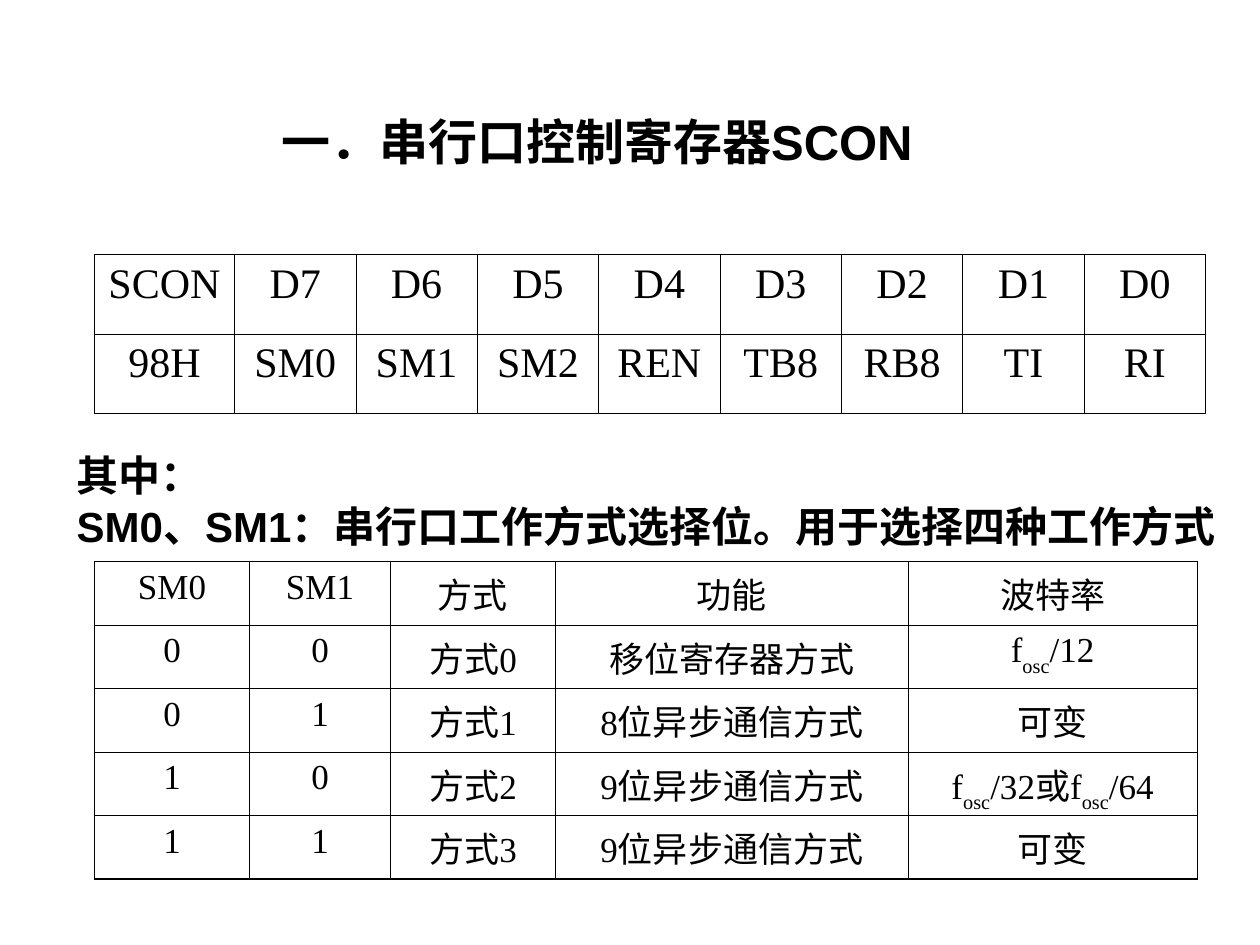
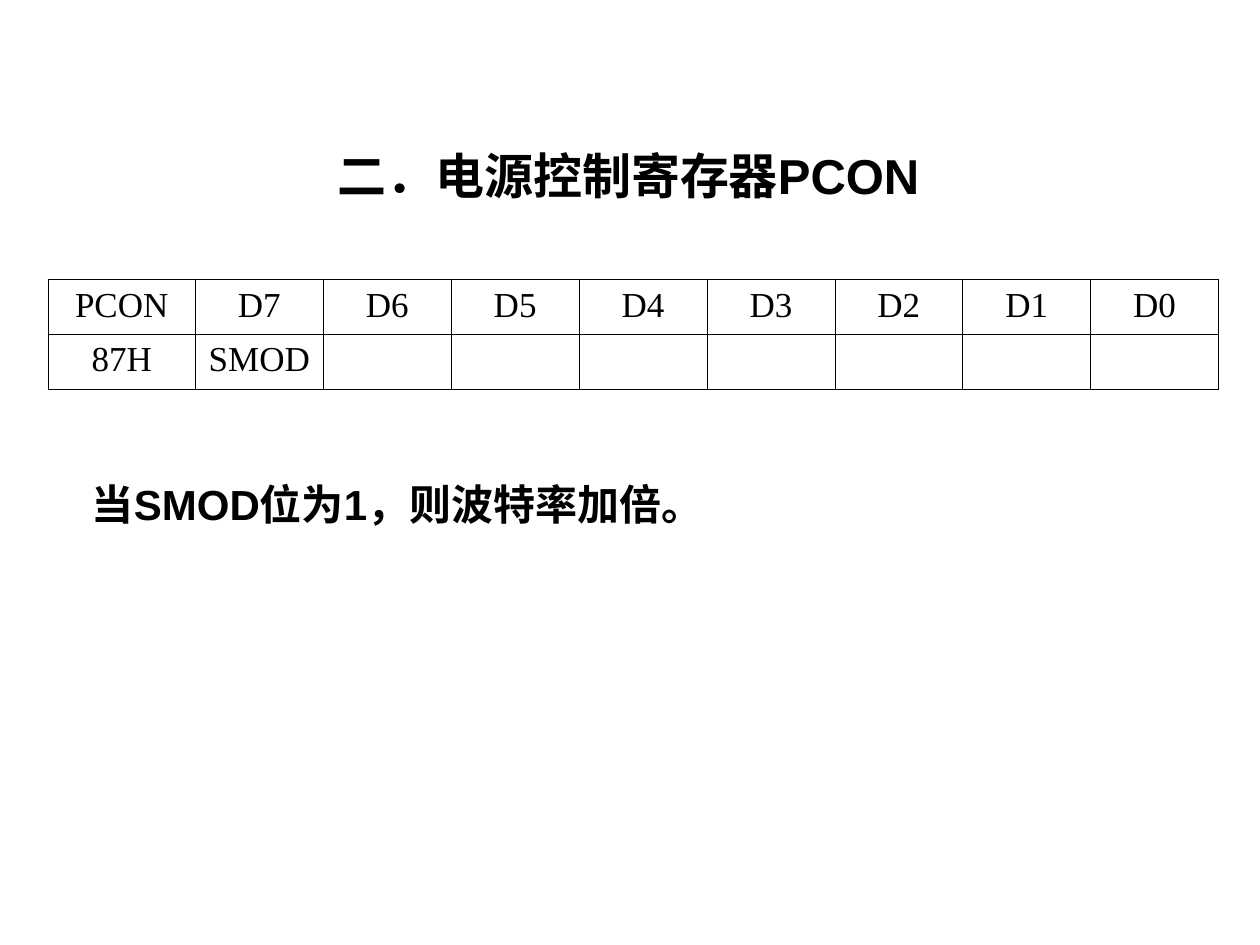
from lxml import etree
from pptx import Presentation
from pptx.dml.color import RGBColor
from pptx.enum import text
from pptx.oxml import ns
from pptx.util import Pt

BLACK = RGBColor(0x00, 0x00, 0x00)
HEADING_FONT = "Arial"
TABLE_FONT = "Times New Roman"
TITLE_SIZE, NOTE_SIZE = 28, 24
THIN, THICK = 0.45, 0.96
BITS = ["D7", "D6", "D5", "D4", "D3", "D2", "D1", "D0"]
SCON_BITS = ["SM0", "SM1", "SM2", "REN", "TB8", "RB8", "TI", "RI"]
PCON_BITS = ["SMOD"] + [""] * 7
SUBSCRIPT = "osc"
MODE_COLUMNS = [88.6, 80.6, 94.3, 201.6, 164.9]
MODES = [
    ["SM0", "SM1", "方式", "功能", "波特率"],
    ["0", "0", "方式0", "移位寄存器方式", "fosc/12"],
    ["0", "1", "方式1", "8位异步通信方式", "可变"],
    ["1", "0", "方式2", "9位异步通信方式", "fosc/32或fosc/64"],
    ["1", "1", "方式3", "9位异步通信方式", "可变"],
]


def style_run(run, font_name, size, bold):
    """Give a run its typeface, size, weight and colour."""
    run.font.name = font_name
    run.font.size = Pt(size)
    run.font.bold = bold
    run.font.color.rgb = BLACK


def add_heading(slide, box, lines, size):
    """Add unwrapped bold text in a box that fits it."""
    shape = slide.shapes.add_textbox(*map(Pt, box))
    frame = shape.text_frame
    frame.text = "\n".join(lines)
    frame.word_wrap = False
    frame.auto_size = text.MSO_AUTO_SIZE.SHAPE_TO_FIT_TEXT
    frame.vertical_anchor = text.MSO_ANCHOR.MIDDLE
    for paragraph in frame.paragraphs:
        for run in paragraph.runs:
            style_run(run, HEADING_FONT, size, True)


def add_border(cell, side, width):
    """Draw one side of a cell as a solid line."""
    properties = cell._tc.get_or_add_tcPr()
    line = etree.SubElement(properties, ns.qn(f"a:ln{side}"), w=str(Pt(width)))
    fill = etree.SubElement(line, ns.qn("a:solidFill"))
    etree.SubElement(fill, ns.qn("a:srgbClr"), val=str(BLACK))


def fill_cell(cell, content, size):
    """Write centred text in a cell, lowering each subscript."""
    paragraph = cell.text_frame.paragraphs[0]
    paragraph.alignment = text.PP_ALIGN.CENTER
    for index, part in enumerate(content.split(SUBSCRIPT)):
        if index:
            lowered = paragraph.add_run()
            lowered.text = SUBSCRIPT
            style_run(lowered, TABLE_FONT, size, False)
            lowered.font._element.set("baseline", "-30000")
        if part:
            run = paragraph.add_run()
            run.text = part
            style_run(run, TABLE_FONT, size, False)


def add_grid(slide, box, column_widths, rows, size, edge=THIN):
    """Add a ruled table whose rows share the height of the box."""
    shape = slide.shapes.add_table(len(rows), len(column_widths), *map(Pt, box))
    table = shape.table
    table.first_row = table.horz_banding = False
    for column, width in zip(table.columns, column_widths):
        column.width = Pt(width)
    for row_index, contents in enumerate(rows):
        table.rows[row_index].height = Pt(box[3] / len(rows))
        for column_index, content in enumerate(contents):
            cell = table.cell(row_index, column_index)
            fill_cell(cell, content, size)
            top = edge if row_index == 0 else THIN
            bottom = edge if row_index == len(rows) - 1 else THIN
            for side, width in zip("LRTB", (THIN, THIN, top, bottom)):
                add_border(cell, side, width)
            cell.fill.background()


def add_register(slide, box, label_width, name, address, bit_names, size):
    """Add a register table: a label column and eight equal bit columns."""
    bit_width = (box[2] - label_width) / len(BITS)
    widths = [label_width] + [bit_width] * len(BITS)
    add_grid(slide, box, widths, [[name] + BITS, [address] + bit_names], size)


def build_scon_slide(slide):
    """Show the serial control register and its working modes."""
    add_heading(slide, (154, 59.8, 381.6, 41), ["一．串行口控制寄存器SCON"], TITLE_SIZE)
    add_register(slide, (54, 145.4, 635, 91), 80, "SCON", "98H", SCON_BITS, 24)
    add_heading(slide, (36.7, 253.4, 687.6, 64.8),
                ["其中：", "SM0、SM1：串行口工作方式选择位。用于选择四种工作方式"], NOTE_SIZE)
    add_grid(slide, (54, 321, sum(MODE_COLUMNS), 181.5), MODE_COLUMNS, MODES, 20, THICK)


def build_pcon_slide(slide):
    """Show the power control register and its rate bit."""
    add_heading(slide, (185.8, 79.2, 353.5, 41), ["二．电源控制寄存器PCON"], TITLE_SIZE)
    add_register(slide, (27.5, 159.8, 669, 62.4), 84.2, "PCON", "87H", PCON_BITS, 20)
    add_heading(slide, (45.4, 270, 392.4, 36), ["当SMOD位为1，则波特率加倍。"], NOTE_SIZE)


def main():
    """Build both slides and save the presentation."""
    presentation = Presentation()
    presentation.slide_width, presentation.slide_height = Pt(720), Pt(540)
    for build in (build_scon_slide, build_pcon_slide):
        build(presentation.slides.add_slide(presentation.slide_layouts[6]))
    presentation.save("out.pptx")


if __name__ == "__main__":
    main()
